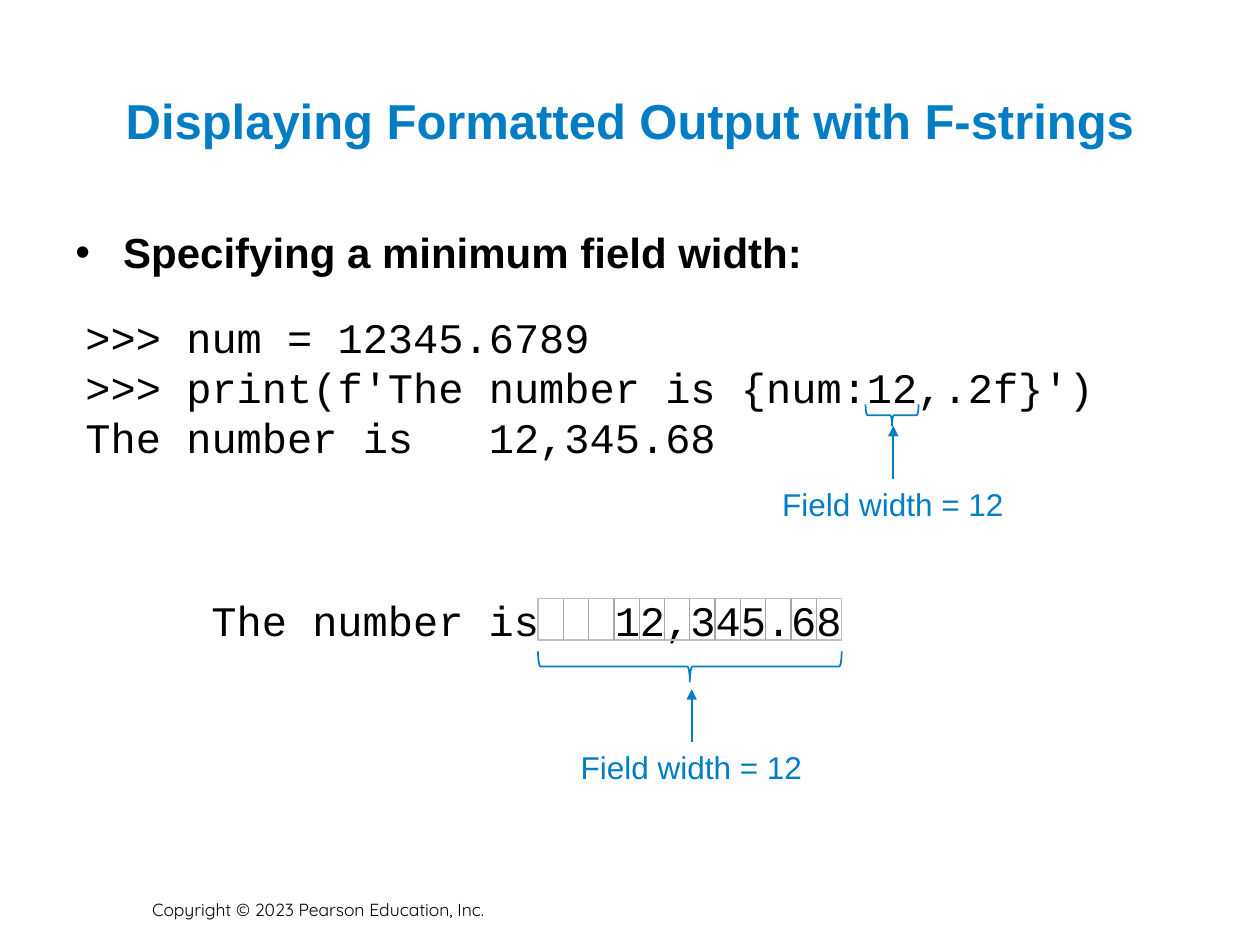
"""Build a slide on setting a minimum field width in f-strings."""
from lxml import etree
from pptx import Presentation
from pptx.dml.color import RGBColor
from pptx.enum.shapes import MSO_CONNECTOR, MSO_SHAPE
from pptx.enum.text import MSO_ANCHOR, PP_ALIGN
from pptx.oxml.ns import qn
from pptx.util import Inches, Pt

BLUE = RGBColor(0x00, 0x7D, 0xC4)
BLACK = RGBColor(0x00, 0x00, 0x00)
FRAME_GRAY = RGBColor(0xBF, 0xBF, 0xBF)
DIVIDER_GRAY = RGBColor(0xA6, 0xA6, 0xA6)
STRAIGHT = MSO_CONNECTOR.STRAIGHT
RECTANGLE, LEFT_BRACE = MSO_SHAPE.RECTANGLE, MSO_SHAPE.LEFT_BRACE
TOP, MIDDLE, BOTTOM = MSO_ANCHOR.TOP, MSO_ANCHOR.MIDDLE, MSO_ANCHOR.BOTTOM
LEFT, CENTER = PP_ALIGN.LEFT, PP_ALIGN.CENTER

FIELD_WIDTH = 12
FIELD_LEFT, FIELD_TOP, FIELD_W, FIELD_H = 4.27, 4.75, 2.41, 0.33


class SlideBuilder:
    STYLES = {
        "title": {"name": "Arial", "size": Pt(28), "bold": True, "color": BLUE},
        "bullet": {"name": "Arial", "size": Pt(24), "bold": True, "color": BLACK},
        "code": {"name": "Courier New", "size": Pt(24), "color": BLACK},
        "label": {"name": "Arial", "size": Pt(18), "color": BLUE},
        "footer": {"name": "Quicksand", "size": Pt(10), "color": BLACK},
    }

    def __init__(self, prs):
        self.s = prs.slides.add_slide(prs.slide_layouts[6])

    def text(self, box, lines, style, anchor=TOP, align=LEFT, wrap=True, bullet=None):
        sp = self.s.shapes.add_textbox(*map(Inches, box))
        tf = sp.text_frame
        tf.word_wrap = wrap
        tf.vertical_anchor = anchor
        for i, line in enumerate(lines):
            p = tf.paragraphs[0] if i == 0 else tf.add_paragraph()
            p.alignment = align
            if bullet:
                pPr = p._p.get_or_add_pPr()
                pPr.set("marL", str(Inches(0.38)))
                pPr.set("indent", str(Inches(-0.38)))
                etree.SubElement(pPr, qn("a:buFont")).set("typeface", "Arial")
                etree.SubElement(pPr, qn("a:buChar")).set("char", bullet)
            r = p.add_run()
            r.text = line
            for key, value in self.STYLES[style].items():
                if key == "color":
                    r.font.color.rgb = value
                else:
                    setattr(r.font, key, value)
        return sp

    def outline(self, kind, box, color, width, rotation=0):
        sp = self.s.shapes.add_shape(kind, *map(Inches, box))
        sp.shadow.inherit = False
        sp.fill.background()
        sp.line.color.rgb = color
        sp.line.width = Pt(width)
        sp.rotation = rotation
        return sp

    def line(self, x1, y1, x2, y2, color, width):
        cx = self.s.shapes.add_connector(STRAIGHT, *map(Inches, (x1, y1, x2, y2)))
        cx.line.color.rgb = color
        cx.line.width = Pt(width)
        etree.SubElement(cx._element.spPr, qn("a:effectLst"))
        return cx

    def brace(self, center, top, width, depth):
        box = (center - depth / 2, top + depth / 2 - width / 2, depth, width)
        return self.outline(LEFT_BRACE, box, BLUE, 1, 270)

    def field_label(self, center, top, tip):
        width = 1.96
        box = (center - width / 2, top, width, 0.4)
        label = self.text(box, [f"Field width = {FIELD_WIDTH}"], "label", wrap=False)
        arrow = self.line(center, top, center, tip, BLUE, 1)
        arrow.begin_connect(label, 0)
        etree.SubElement(arrow.line._get_or_add_ln(), qn("a:tailEnd")).set("type", "triangle")

    def field_cells(self):
        self.outline(RECTANGLE, (FIELD_LEFT, FIELD_TOP, FIELD_W, FIELD_H), FRAME_GRAY, 0.75)
        for i in range(1, FIELD_WIDTH):
            x = FIELD_LEFT + i * FIELD_W / FIELD_WIDTH
            self.line(x, FIELD_TOP, x, FIELD_TOP + FIELD_H, DIVIDER_GRAY, 0.75)


def main():
    prs = Presentation()
    prs.slide_width, prs.slide_height = Inches(10), Inches(7.5)
    slide = SlideBuilder(prs)
    output = "The number is   12,345.68"

    slide.text((1.11, 7.02, 3, 0.33), ["Copyright © 2023 Pearson Education, Inc."],
               "footer", anchor=BOTTOM)
    slide.text((0.5, 0.33, 9, 1.25), ["Displaying Formatted Output with F-strings"],
               "title", anchor=MIDDLE, align=CENTER)
    slide.text((0.5, 1.75, 9, 0.6), ["Specifying a minimum field width:"],
               "bullet", bullet="•")
    slide.text((0.58, 2.42, 8.25, 1.3),
               [">>> num = 12345.6789",
                ">>> print(f'The number is {num:12,.2f}')",
                output], "code")
    slide.text((1.58, 4.67, 5.67, 0.5), [output], "code")
    slide.field_cells()

    slide.brace(7.08, 3.21, 0.42, 0.17)
    slide.field_label(7.09, 3.8, 3.38)
    slide.brace(FIELD_LEFT + FIELD_W / 2, 5.17, FIELD_W, 0.24)
    slide.field_label(5.49, 5.89, 5.47)
    prs.save("out.pptx")


if __name__ == "__main__":
    main()
